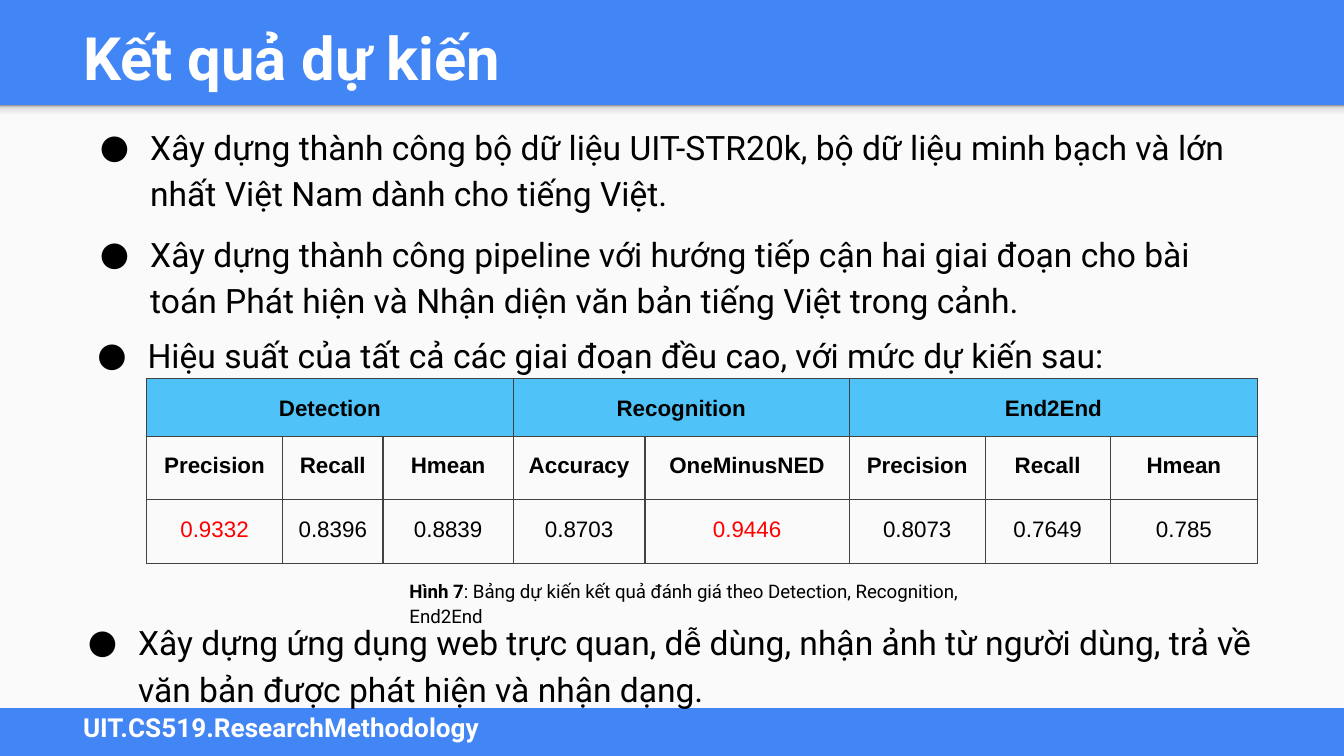
import copy
from dataclasses import dataclass

import lxml.etree
import pptx
import pptx.dml.color
import pptx.enum.shapes
import pptx.enum.text
import pptx.oxml.ns
import pptx.util

Cm = pptx.util.Cm
Pt = pptx.util.Pt
qn = pptx.oxml.ns.qn


@dataclass(frozen=True)
class Theme:
    blue: str = "4285F4"
    paper: str = "FAFAFA"
    white: str = "FFFFFF"
    black: str = "000000"
    red: str = "FF0000"
    header: str = "4FC3F7"
    border: str = "424242"
    shade: tuple = ((0, "F9F9F9"), (0.36, "F9F9F9"), (0.8, "DEDEDE"), (1, "999999"))
    font: str = "Roboto"
    table_font: str = "Arial"
    title: int = 32
    body: int = 18
    footer: int = 14
    cell: int = 12
    caption: int = 10


def rgb(color):
    return pptx.dml.color.RGBColor.from_string(color)


class ResultSlide:
    def __init__(self, deck, theme):
        self.theme = theme
        self.slide = deck.slides.add_slide(deck.slide_layouts[6])
        background = self.slide.background.fill
        background.solid()
        background.fore_color.rgb = rgb(theme.blue)

    def style(self, run, size, color, bold=False, font=None):
        run.font.name = font or self.theme.font
        run.font.size = Pt(size)
        run.font.bold = bold
        run.font.color.rgb = rgb(color)

    def band(self, left, top, width, height):
        band = self.slide.shapes.add_shape(
            pptx.enum.shapes.MSO_SHAPE.RECTANGLE, Cm(left), Cm(top), Cm(width), Cm(height))
        band.shadow.inherit = False
        band.line.fill.background()
        return band

    def panel(self, *box):
        panel = self.band(*box)
        panel.fill.solid()
        panel.fill.fore_color.rgb = rgb(self.theme.paper)

    def title_shade(self, *box):
        shade = self.band(*box)
        shade.fill.gradient()
        shade.fill.gradient_angle = 90
        stops = shade.fill.gradient_stops
        stop_list = shade.element.spPr.find(".//" + qn("a:gsLst"))
        for _ in range(len(self.theme.shade) - len(stops)):
            stop_list.append(copy.deepcopy(stop_list[0]))
        for stop, (position, color) in zip(shade.fill.gradient_stops, self.theme.shade):
            stop.position = position
            stop.color.rgb = rgb(color)

    def text(self, box, parts, size, color, middle=False, spacing=None):
        frame = self.slide.shapes.add_textbox(*map(Cm, box)).text_frame
        frame.word_wrap = True
        frame.margin_left = frame.margin_right = Cm(0.25)
        frame.margin_top = frame.margin_bottom = Cm(0.25)
        anchors = pptx.enum.text.MSO_ANCHOR
        frame.vertical_anchor = anchors.MIDDLE if middle else anchors.TOP
        paragraph = frame.paragraphs[0]
        paragraph.line_spacing = spacing
        for words, bold in parts:
            run = paragraph.add_run()
            run.text = words
            self.style(run, size, color, bold)
        return paragraph

    def bullet(self, left, top, height, words):
        paragraph = self.text((left, top, 22.83, height), [(words, False)],
                              self.theme.body, self.theme.black, spacing=1.15)
        properties = paragraph._p.get_or_add_pPr()
        properties.set("marL", str(Cm(1.27)))
        properties.set("indent", str(-Cm(0.95)))
        color = lxml.etree.SubElement(properties, qn("a:buClr"))
        lxml.etree.SubElement(color, qn("a:srgbClr"), val=self.theme.black)
        lxml.etree.SubElement(properties, qn("a:buFont"), typeface=self.theme.font)
        lxml.etree.SubElement(properties, qn("a:buChar"), char="●")

    def cell_borders(self, cell):
        properties = cell._tc.get_or_add_tcPr()
        for side in ("lnL", "lnR", "lnT", "lnB"):
            line = lxml.etree.SubElement(properties, qn("a:" + side), w=str(Pt(0.75)))
            fill = lxml.etree.SubElement(line, qn("a:solidFill"))
            lxml.etree.SubElement(fill, qn("a:srgbClr"), val=self.theme.border)

    def cell(self, cell, words, bold, color, fill=None):
        self.cell_borders(cell)
        if fill:
            cell.fill.solid()
            cell.fill.fore_color.rgb = rgb(fill)
        else:
            cell.fill.background()
        cell.margin_left = cell.margin_right = Cm(0.25)
        cell.margin_top = cell.margin_bottom = Cm(0.25)
        paragraph = cell.text_frame.paragraphs[0]
        paragraph.text = words
        paragraph.alignment = pptx.enum.text.PP_ALIGN.CENTER
        paragraph.line_spacing = 1.15
        for run in paragraph.runs:
            self.style(run, self.theme.cell, color, bold, self.theme.table_font)

    def score_table(self, left, top, widths, heights, stages, best):
        theme = self.theme
        table = self.slide.shapes.add_table(
            len(heights), len(widths), Cm(left), Cm(top),
            Cm(sum(widths)), Cm(sum(heights))).table
        table.first_row = table.horz_banding = False
        for column, width in zip(table.columns, widths):
            column.width = Cm(width)
        for row, height in zip(table.rows, heights):
            row.height = Cm(height)
        column = 0
        for stage, scores in stages:
            first = column
            for metric, score in scores:
                self.cell(table.cell(0, column), stage if column == first else "",
                          True, theme.black, theme.header)
                self.cell(table.cell(1, column), metric, True, theme.black)
                self.cell(table.cell(2, column), score, False,
                          theme.red if score in best else theme.black)
                column += 1
            table.cell(0, first).merge(table.cell(0, column - 1))


def main():
    theme = Theme()
    deck = pptx.Presentation()
    deck.slide_width, deck.slide_height = Cm(25.4), Cm(14.29)
    results = ResultSlide(deck, theme)

    results.panel(0, 2.03, 25.4, 11.35)
    results.title_shade(0, 1.98, 25.4, 0.3)
    results.text((1.32, 13.34, 22.58, 0.81), [("UIT.CS519.ResearchMethodology", True)],
                 theme.footer, theme.white, middle=True)
    results.text((1.32, 0.15, 22.83, 1.85), [("Kết quả dự kiến", True)],
                 theme.title, theme.white, middle=True)

    goals = [
        (1.32, 2.03, 10.85, "Xây dựng thành công bộ dữ liệu UIT-STR20k, bộ dữ liệu minh bạch "
                            "và lớn nhất Việt Nam dành cho tiếng Việt."),
        (1.32, 4.06, 3.78, "Xây dựng thành công pipeline với hướng tiếp cận hai giai đoạn cho "
                           "bài toán Phát hiện và Nhận diện văn bản tiếng Việt trong cảnh."),
        (1.27, 5.97, 3.78, "Hiệu suất của tất cả các giai đoạn đều cao, với mức dự kiến sau:"),
        (1.09, 11.4, 3.78, "Xây dựng ứng dụng web trực quan, dễ dùng, nhận ảnh từ người dùng, "
                           "trả về văn bản được phát hiện và nhận dạng."),
    ]
    for goal in goals:
        results.bullet(*goal)

    stages = [
        ("Detection", [("Precision", "0.9332"), ("Recall", "0.8396"), ("Hmean", "0.8839")]),
        ("Recognition", [("Accuracy", "0.8703"), ("OneMinusNED", "0.9446")]),
        ("End2End", [("Precision", "0.8073"), ("Recall", "0.7649"), ("Hmean", "0.785")]),
    ]
    results.score_table(2.77, 7.16, [2.57, 1.9, 2.46, 2.49, 3.86, 2.57, 2.36, 2.79],
                        [1.07, 1.2, 1.2], stages, best={"0.9332", "0.9446"})
    results.text((7.49, 10.64, 11.58, 0.94),
                 [("Hình 7", True),
                  (": Bảng dự kiến kết quả đánh giá theo Detection, Recognition, End2End", False)],
                 theme.caption, theme.black, spacing=1.15)

    deck.save("out.pptx")


if __name__ == "__main__":
    main()
